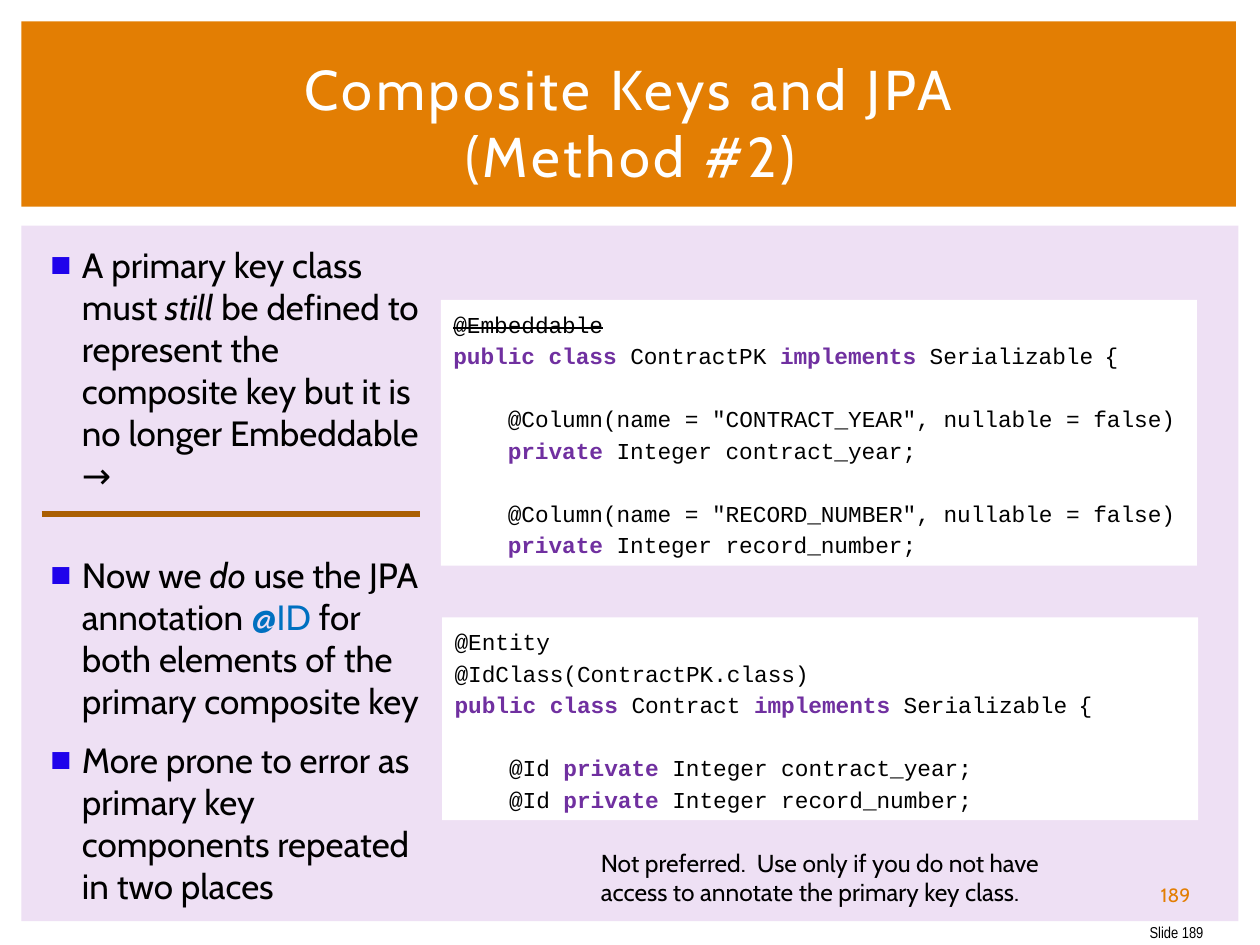
from lxml import etree
from pptx import Presentation
from pptx.dml.color import RGBColor
from pptx.enum import shapes, text
from pptx.oxml import ns
from pptx.util import Inches, Pt

BLACK, WHITE, ORANGE = "000000", "FFFFFF", "E37E03"
PURPLE, BLUE = "7030A0", "0070C0"


def rgb(value):
    return RGBColor.from_string(value)


def write(paragraph, marked, font, size, color=BLACK):
    """Write text with *emphasis* marks and return the emphasised runs."""
    emphasised = []
    for i, part in enumerate(marked.split("*")):
        for j, line in enumerate(part.split("\n")):
            if j:
                paragraph.add_line_break()
            if line:
                run = paragraph.add_run()
                run.text = line
                run.font.name, run.font.size = font, Pt(size)
                run.font.color.rgb = rgb(color)
                if i % 2:
                    emphasised.append(run)
    return emphasised


prs = Presentation()
prs.slide_width, prs.slide_height = Inches(10), Inches(7.5)
slide = prs.slides.add_slide(prs.slide_layouts[1])
title, body = slide.placeholders

# Background panels, placed behind the title and list
panels = [(0.17, 1.79, 9.66, 5.52, "EEE0F4"), (0.17, 0.17, 9.64, 1.47, ORANGE)]
for index, (*box, fill) in enumerate(panels):
    panel = slide.shapes.add_shape(shapes.MSO_SHAPE.RECTANGLE, *map(Inches, box))
    panel.shadow.inherit = False
    panel.fill.solid()
    panel.fill.fore_color.rgb = rgb(fill)
    panel.line.fill.background()
    slide.shapes._spTree.insert(2 + index, panel._element)

# Title
title.left, title.top, title.width, title.height = map(Inches, (0.42, 0.39, 9.17, 1.15))
title.text_frame.auto_size = text.MSO_AUTO_SIZE.NONE
title.text_frame.vertical_anchor = text.MSO_ANCHOR.MIDDLE
heading = title.text_frame.paragraphs[0]
heading.alignment = text.PP_ALIGN.CENTER
write(heading, "Composite Keys and JPA\n(Method #2)", "Cabin", 32, WHITE)
for run in heading.runs:
    run.font._element.set("spc", "200")

# Bullet list: text, space before
points = [
    ("A primary key class must *still* be defined to represent the composite key "
     "but it is no longer Embeddable →", 0),
    ("Now we *do* use the JPA annotation *@ID *for both elements of the "
     "primary composite key", 27),
    ("More prone to error as primary key components repeated in two places", 4),
]
body.left, body.top, body.width, body.height = map(Inches, (0.25, 1.88, 3.25, 4.82))
body.text_frame.auto_size = text.MSO_AUTO_SIZE.NONE
for index, (point, gap) in enumerate(points):
    item = body.text_frame.paragraphs[0] if index == 0 else body.text_frame.add_paragraph()
    props = item._p.get_or_add_pPr()
    props.set("marL", str(Inches(0.3)))
    props.set("indent", str(Inches(-0.25)))
    bullet_color = etree.SubElement(props, ns.qn("a:buClr"))
    etree.SubElement(bullet_color, ns.qn("a:srgbClr"), val="1F03EB")
    etree.SubElement(props, ns.qn("a:buFont"), typeface="Arial")
    etree.SubElement(props, ns.qn("a:buChar"), char="■")
    item.space_before, item.space_after = Pt(gap), Pt(6)
    for run in write(item, point, "Cabin", 20):
        if run.text.startswith("@"):
            run.font.color.rgb = rgb(BLUE)
        else:
            run.font.italic = True

# Code listings
key_class = """@Embeddable
*public class *ContractPK *implements *Serializable* *{

    @Column(name = "CONTRACT_YEAR", nullable = false)
    *private *Integer contract_year;

    @Column(name = "RECORD_NUMBER", nullable = false)
    *private *Integer record_number;"""
entity_class = """@Entity
@IdClass(ContractPK.class)
*public class *Contract *implements *Serializable* *{

    @Id *private *Integer contract_year;
    @Id *private *Integer record_number;"""
for left, top, height, code in [(3.5, 2.38, 2.11, key_class), (3.51, 4.9, 1.61, entity_class)]:
    listing = slide.shapes.add_textbox(Inches(left), Inches(top), Inches(6), Inches(height))
    listing.fill.solid()
    listing.fill.fore_color.rgb = rgb(WHITE)
    listing.text_frame.word_wrap = True
    lines = listing.text_frame.paragraphs[0]
    lines.line_spacing = Pt(18)
    for run in write(lines, code, "Courier New", 13):
        if run.text == " ":
            run.font.name, run.font.size = "Noto Sans Mono", Pt(11)
        else:
            run.font.bold = True
            run.font.color.rgb = rgb(PURPLE)
    if lines.runs[0].text == "@Embeddable":
        lines.runs[0].font._element.set("strike", "sngStrike")

# Divider between the first two points
divider = slide.shapes.add_connector(
    shapes.MSO_CONNECTOR.STRAIGHT, Inches(0.33), Inches(4.08), Inches(3.33), Inches(4.08))
divider.line.color.rgb = rgb("AA5F02")
divider.line.width = Pt(3)
etree.SubElement(divider._element.spPr, ns.qn("a:effectLst"))

# Remark and slide numbers
remark = "Not preferred.  Use only if you do not have \naccess to annotate the primary key class."
LEFT, CENTER, RIGHT = text.PP_ALIGN.LEFT, text.PP_ALIGN.CENTER, text.PP_ALIGN.RIGHT
TOP, MIDDLE = text.MSO_ANCHOR.TOP, text.MSO_ANCHOR.MIDDLE
labels = [
    (remark, (4.67, 6.68, 3.78, 0.57), "Cabin", 14, BLACK, LEFT, TOP, True),
    ("189", (9.01, 6.95, 0.64, 0.3), "Cabin", 11, ORANGE, CENTER, MIDDLE, True),
    ("Slide 189", (9.01, 7.25, 0.64, 0.3), "Arial Narrow", 9, BLACK, RIGHT, MIDDLE, False),
]
for words, box, font, size, color, align, anchor, wrap in labels:
    label = slide.shapes.add_textbox(*map(Inches, box)).text_frame
    label.word_wrap = wrap
    label.vertical_anchor = anchor
    label.paragraphs[0].alignment = align
    write(label.paragraphs[0], words, font, size, color)

prs.save("out.pptx")
